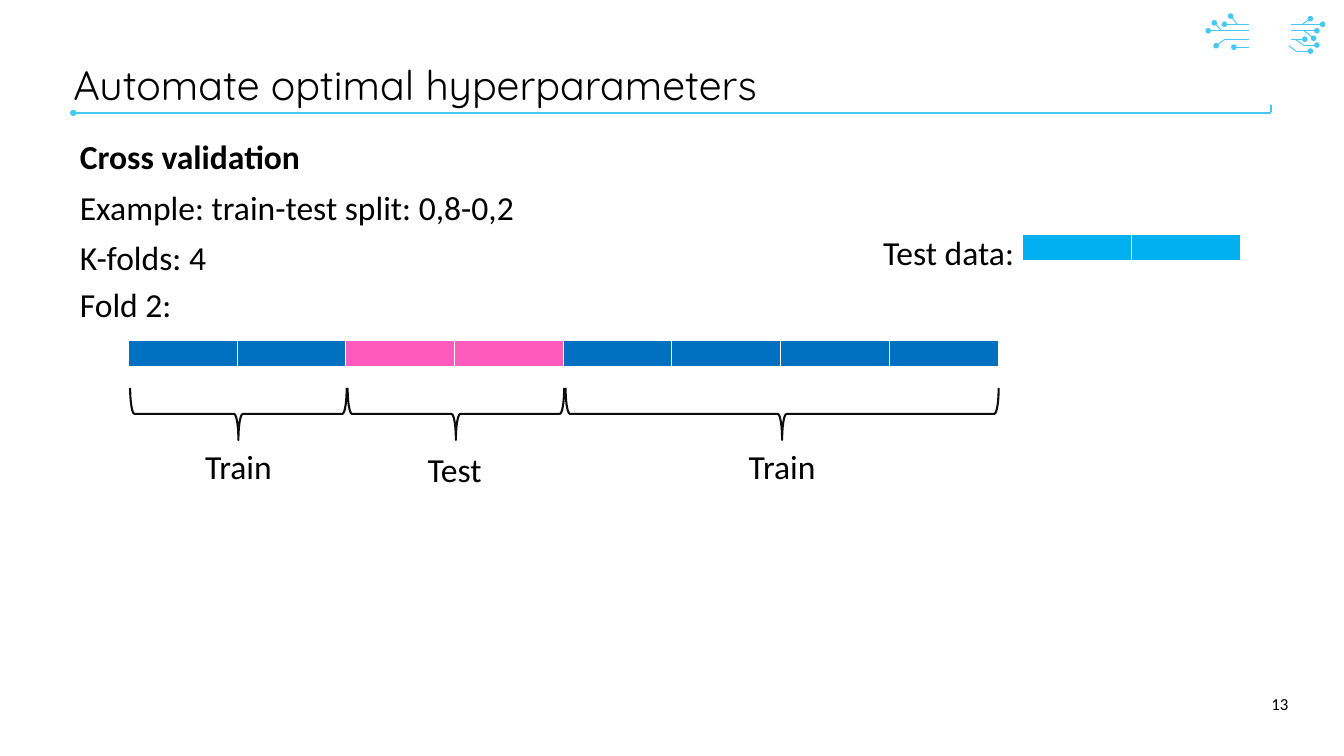
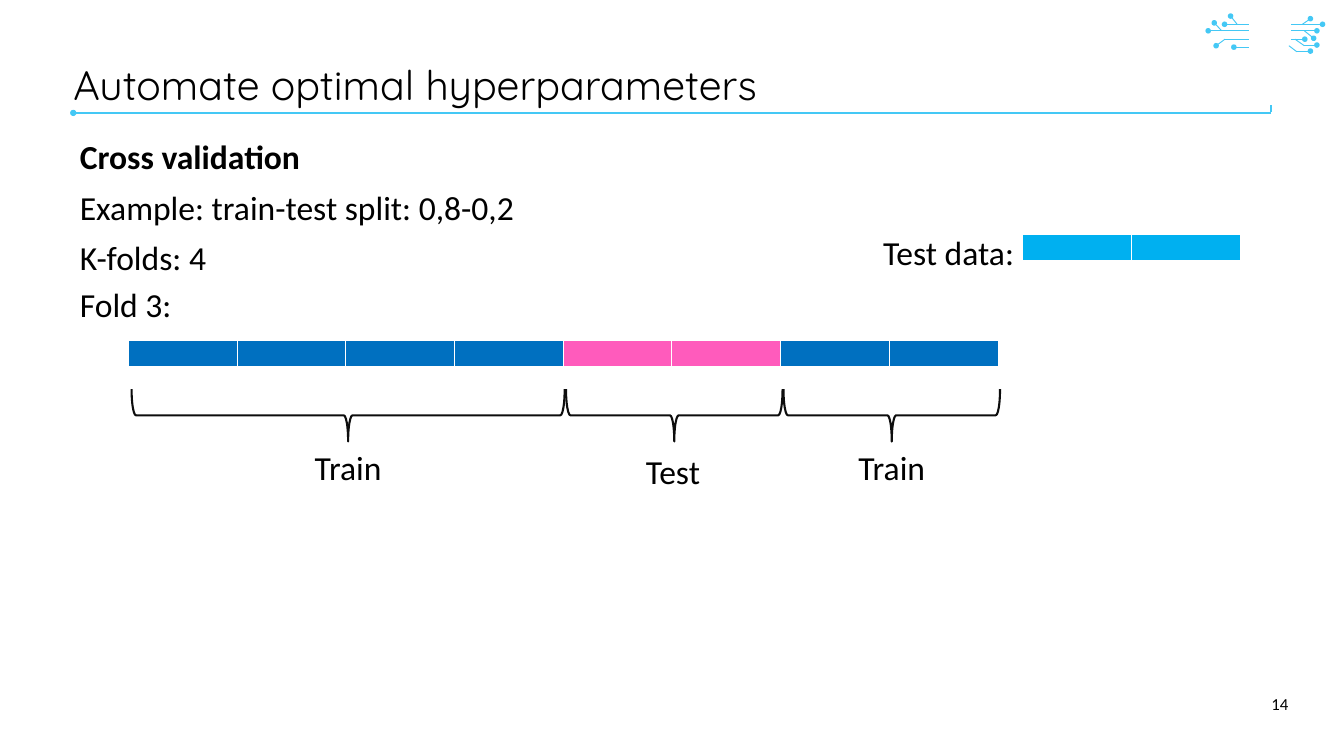
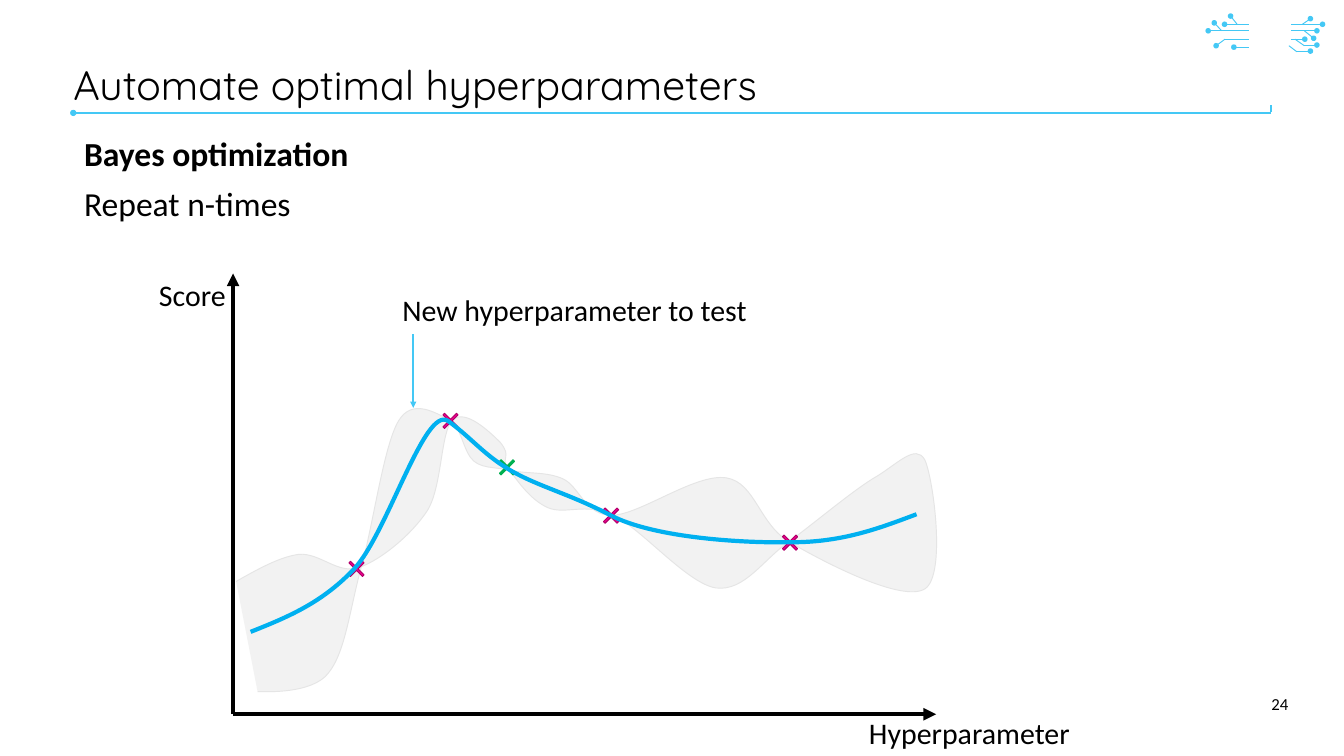
from dataclasses import dataclass
from typing import Any, Optional

import pptx
import pptx.dml.color
import pptx.enum.shapes
import pptx.enum.text
import pptx.oxml.ns
import pptx.util
from lxml import etree

Pt = pptx.util.Pt
qn = pptx.oxml.ns.qn
ALIGN = pptx.enum.text.PP_ALIGN
ANCHOR = pptx.enum.text.MSO_ANCHOR
AUTO = pptx.enum.text.MSO_AUTO_SIZE
SHAPE = pptx.enum.shapes.MSO_SHAPE
STRAIGHT = pptx.enum.shapes.MSO_CONNECTOR.STRAIGHT

COLORS = {
    "text": "000000", "circuit": "44C8F5", "border": "FFFFFF",
    "train": "0070C0", "fold": "FF5BBC", "test": "00B0F0", "brace": "0D0D0D",
    "mean": "00B0F0", "band": "E5E5E5",
    "tried": "EC008C", "tried_edge": "AF0068", "new": "00B050",
}
BODY_FONT, TITLE_FONT = "Calibri", "Quicksand"
TITLE = "Automate optimal hyperparameters"
CELL_W, CELL_H, BAR_H = 116.5, 29.5, 39.5
BAR_X, BAR_Y = 137.5, 364.25


@dataclass
class Line:
    x1: float
    y1: float
    x2: float
    y2: float
    color: str = "circuit"
    width: float = 1
    head: Optional[str] = None
    tail: Optional[str] = None


@dataclass
class Label:
    text: str
    x: float
    y: float
    w: float
    h: float = 51
    size: float = 36
    align: Any = ALIGN.LEFT
    wrap: bool = True


@dataclass
class Segment:
    kind: str
    first: int
    cells: int


@dataclass
class Fold:
    number: int
    page: int
    segments: list[Segment]
    shift: float
    drop: float


@dataclass
class Marker:
    x: float
    y: float
    fill: str = "tried"
    edge: str = "tried_edge"


@dataclass
class Curve:
    """A start point, rows of two control points and an end point, and straight ends."""
    start: tuple
    bends: list[tuple]
    color: str
    width: float
    corners: tuple = ()


CIRCUIT = [
    Line(1338, 26, 1312, 26, tail="oval"),
    Line(1338, 33, 1294.5, 33, tail="oval"),
    Line(1338, 42, 1312, 42),
    Line(1312.5, 42, 1303, 49, tail="oval"),
    Line(1338, 50.5, 1322, 50.5, tail="oval"),
    Line(1325.5, 26, 1318.5, 17.25, tail="oval"),
    Line(1309, 33, 1301, 24.5, tail="oval"),
    Line(1383, 33, 1411, 33, tail="oval"),
    Line(1397.5, 49, 1387.5, 42),
    Line(1397, 48.25, 1411, 48.25, tail="oval"),
    Line(1383, 42, 1398, 42, tail="oval"),
    Line(1397.5, 33, 1407.5, 41, tail="oval"),
    Line(1383, 26, 1417, 26, tail="oval"),
    Line(1389.5, 55.5, 1381, 49),
    Line(1389.5, 54.75, 1404, 54.75, tail="oval"),
    Line(1395.5, 26, 1404, 20, tail="oval"),
]
TITLE_RULE = [
    Line(78.5, 121, 1361.5, 121, width=2.25, head="oval"),
    Line(1361.5, 120.25, 1361.5, 113, width=2.25),
]
FOLDS = [
    Fold(2, 13, [Segment("Test", 2, 2), Segment("Train", 4, 4), Segment("Train", 0, 2)], 1.5, 0),
    Fold(3, 14, [Segment("Test", 4, 2), Segment("Train", 0, 4), Segment("Train", 6, 2)], 2.5, 1.5),
]
AXES = [
    Line(249.75, 765.25, 249.75, 293, "text", 4.5, tail="triangle"),
    Line(249.75, 765.25, 1003, 765.25, "text", 4.5, tail="triangle"),
]
NEW_ARROW = Line(442.75, 358, 442.75, 437, width=2.25, tail="triangle")
SCORE = Label("Score", 163.25, 293, 86.5, 46, 32, wrap=False)
HYPERPARAMETER = Label("Hyperparameter", 924, 762, 232, 46, 32, wrap=False)
NEW_LABEL = Label("New hyperparameter to test", 424, 309, 387, 46, 32, wrap=False)
MARKERS = [
    Marker(382, 609.5), Marker(482.75, 451), Marker(654.75, 552.5), Marker(846.5, 581.5),
    Marker(543.25, 500.75, "new", "new"),
]
BAND = Curve((253, 623), [
    ((276, 610), (299, 597), (320, 594)),
    ((343, 592), (362, 616), (385, 608)),
    ((408, 600), (441, 573), (458, 547)),
    ((474, 521), (472, 462), (485, 450)),
    ((498, 438), (523, 461), (536, 474)),
    ((549, 490), (536, 490), (544, 501)),
    ((553, 513), (567, 535), (587, 544)),
    ((606, 552), (627, 538), (657, 552)),
    ((688, 567), (736, 625), (767, 630)),
    ((798, 634), (818, 599), (846, 580)),
    ((873, 560), (911, 528), (935, 513)),
    ((960, 499), (981, 474), (991, 493)),
    ((1000, 513), (1014, 616), (991, 631)),
    ((967, 646), (884, 603), (848, 582)),
    ((813, 563), (810, 517), (778, 512)),
    ((745, 507), (685, 552), (656, 552)),
    ((627, 553), (621, 521), (603, 513)),
    ((585, 505), (564, 508), (547, 504)),
    ((531, 500), (513, 503), (504, 490)),
    ((495, 477), (493, 455), (480, 449)),
    ((467, 443), (442, 426), (427, 451)),
    ((411, 478), (400, 562), (387, 608)),
    ((375, 652), (370, 699), (352, 721)),
    ((335, 744), (282, 741), (282, 741)),
], "band", 1, ((282, 741), (276, 741)))
MEAN = Curve((268.5, 677), [
    ((306, 662), (344, 647), (379, 610)),
    ((415, 572), (455, 434), (480, 451)),
    ((505, 469), (518, 487), (547, 504)),
    ((576, 521), (610, 529), (654, 552)),
    ((700, 576), (793, 582), (848, 581)),
    ((903, 581), (942, 566), (982, 551)),
], "mean", 4.5)


def rgb(name: str) -> Any:
    return pptx.dml.color.RGBColor.from_string(COLORS[name])


def style_line(line: Any, color: str, width: float) -> None:
    line.color.rgb = rgb(color)
    line.width = Pt(width)


def style_text(p: Any, size: float, font: str = BODY_FONT, bold: bool = False) -> None:
    for r in p.runs:
        r.font.size, r.font.name, r.font.bold = Pt(size), font, bold
        r.font.color.rgb = rgb("text")


def add_line(shapes: Any, line: Line) -> Any:
    cxn = shapes.add_connector(STRAIGHT, Pt(line.x1), Pt(line.y1), Pt(line.x2), Pt(line.y2))
    style_line(cxn.line, line.color, line.width)
    ln = cxn.element.find(".//" + qn("a:ln"))
    for tag, end in (("a:headEnd", line.head), ("a:tailEnd", line.tail)):
        if end:
            etree.SubElement(ln, qn(tag), type=end)
    etree.SubElement(ln.getparent(), qn("a:effectLst"))
    return cxn


def add_label(shapes: Any, label: Label) -> Any:
    sp = shapes.add_textbox(Pt(label.x), Pt(label.y), Pt(label.w), Pt(label.h))
    tf = sp.text_frame
    tf.word_wrap, tf.auto_size = label.wrap, AUTO.SHAPE_TO_FIT_TEXT
    tf.text = label.text
    tf.paragraphs[0].alignment = label.align
    style_text(tf.paragraphs[0], label.size)
    return sp


def add_body(s: Any, x: float, y: float, lines: list[str]) -> None:
    """Write the body text, its first line as a bold heading."""
    tf = s.shapes.add_textbox(Pt(x), Pt(y), Pt(1305), Pt(481)).text_frame
    tf.word_wrap = True
    tf.text = "\n".join(lines)
    for i, p in enumerate(tf.paragraphs):
        p.line_spacing = 0.9
        if i:
            p.space_before = Pt(15)
        style_text(p, 36, bold=i == 0)


def decorate_layout(s: Any) -> None:
    """Draw the circuit and the title rule on the slide's layout, which keeps only its title."""
    layout = s.slide_layout
    for ph in list(layout.placeholders)[1:]:
        layout.shapes.element.remove(ph.element)
    group = s.shapes.add_group_shape()
    for line in CIRCUIT:
        add_line(group.shapes, line)
    for sp in [group] + [add_line(s.shapes, line) for line in TITLE_RULE]:
        layout.shapes.element.append(sp.element)
    for number, item in enumerate(layout.shapes.element.iter(qn("p:cNvPr")), 1):
        item.set("id", str(number))


def add_slide(prs: Any, page: int) -> Any:
    s = prs.slides.add_slide(prs.slide_layouts[5])
    title = s.shapes.title
    title.left, title.top, title.width, title.height = Pt(78.5), Pt(70), Pt(1180), Pt(49.5)
    tf = title.text_frame
    tf.margin_left = tf.margin_top = tf.margin_right = tf.margin_bottom = 0
    tf.vertical_anchor, tf.auto_size = ANCHOR.TOP, AUTO.NONE
    tf.text = TITLE
    p = tf.paragraphs[0]
    p.alignment, p.line_spacing = ALIGN.LEFT, 0.9
    style_text(p, 44, TITLE_FONT)
    number = add_label(s.shapes, Label(str(page), 1309, 733, 78.5, 43, 18, ALIGN.RIGHT))
    number.text_frame.auto_size = AUTO.NONE
    number.text_frame.vertical_anchor = ANCHOR.MIDDLE
    return s


def add_bar(s: Any, x: float, y: float, fills: list[str]) -> None:
    """Draw a row of data blocks as a one-row table."""
    frame = s.shapes.add_table(1, len(fills), Pt(x), Pt(y), Pt(CELL_W * len(fills)), Pt(BAR_H))
    table = frame.table
    table.first_row = table.horz_banding = False
    table.rows[0].height = Pt(CELL_H)
    frame.height = Pt(BAR_H)
    for i, fill in enumerate(fills):
        table.columns[i].width = Pt(CELL_W)
        cell = table.cell(0, i)
        tc_pr = cell._tc.get_or_add_tcPr()
        for side, width in (("L", 1), ("R", 1), ("T", 1), ("B", 3)):
            ln = etree.SubElement(tc_pr, qn("a:ln" + side), w=str(Pt(width)))
            solid = etree.SubElement(ln, qn("a:solidFill"))
            etree.SubElement(solid, qn("a:srgbClr"), val=COLORS["border"])
        cell.fill.solid()
        cell.fill.fore_color.rgb = rgb(fill)


def add_brace(s: Any, segment: Segment, fold: Fold) -> None:
    """Draw a brace under the segment's blocks, with its label below."""
    center = BAR_X + fold.shift + CELL_W * (segment.first + segment.cells / 2)
    depth, span = 56, 116 * segment.cells
    group = s.shapes.add_group_shape()
    sp = group.shapes.add_shape(SHAPE.LEFT_BRACE, Pt(center - depth / 2),
                                Pt(443.5 + fold.drop - span / 2), Pt(depth), Pt(span))
    sp.rotation = 270
    sp.shadow.inherit = False
    sp.fill.background()
    style_line(sp.line, "brace", 2.25)
    w, y, align = (75, 477.75, ALIGN.LEFT) if segment.kind == "Test" else (147, 474, ALIGN.CENTER)
    add_label(group.shapes, Label(segment.kind, center - w / 2, y + fold.drop, w, align=align))


def add_fold(s: Any, fold: Fold) -> None:
    add_body(s, 78.5, 147.25,
             ["Cross validation", "Example: train-test split: 0,8-0,2", "K-folds: 4"])
    fills = ["train"] * 8
    for segment in fold.segments:
        if segment.kind == "Test":
            fills[segment.first:segment.first + segment.cells] = ["fold"] * segment.cells
    add_bar(s, BAR_X, BAR_Y, fills)
    add_label(s.shapes, Label(f"Fold {fold.number}:", 78.5, 300.5, 260.5))
    add_bar(s, 1095.75, 250.75, ["test"] * 2)
    add_label(s.shapes, Label("Test data:", 939, 245, 157))
    for segment in fold.segments:
        add_brace(s, segment, fold)


def trace(curve: Curve, steps: int = 40) -> list[tuple]:
    """Return points along the curve, which give its extents."""
    points = [curve.start]
    for a, b, end in curve.bends:
        begin = points[-1]
        for k in range(1, steps + 1):
            t = k / steps
            u = 1 - t
            points.append(tuple(
                u**3 * begin[i] + 3 * u * u * t * a[i] + 3 * u * t * t * b[i] + t**3 * end[i]
                for i in (0, 1)))
    return points + list(curve.corners)


def add_curve(s: Any, curve: Curve) -> Any:
    """Draw a freeform sized by its traced points, with true cubic segments."""
    emu = [(Pt(x), Pt(y)) for x, y in trace(curve)]
    builder = s.shapes.build_freeform(*emu[0])
    builder.add_line_segments(emu[1:], close=False)
    sp = builder.convert_to_shape()
    outline = sp.element.find(".//" + qn("a:path"))
    for step in outline.findall(qn("a:lnTo")):
        outline.remove(step)
    steps = [("a:cubicBezTo", bend) for bend in curve.bends]
    steps += [("a:lnTo", (corner,)) for corner in curve.corners]
    for tag, points in steps:
        step = etree.SubElement(outline, qn(tag))
        for x, y in points:
            etree.SubElement(step, qn("a:pt"), x=str(Pt(x) - sp.left), y=str(Pt(y) - sp.top))
    sp.shadow.inherit = False
    sp.fill.background()
    style_line(sp.line, curve.color, curve.width)
    return sp


def add_marker(s: Any, marker: Marker) -> None:
    size = 28
    sp = s.shapes.add_shape(SHAPE.MATH_MULTIPLY, Pt(marker.x - size / 2),
                            Pt(marker.y - size / 2), Pt(size), Pt(size))
    sp.adjustments[0] = 0.09
    sp.shadow.inherit = False
    sp.fill.solid()
    sp.fill.fore_color.rgb = rgb(marker.fill)
    style_line(sp.line, marker.edge, 1)


def add_optimization(s: Any) -> None:
    add_body(s, 83, 143.5, ["Bayes optimization", "Repeat n-times"])
    for axis, label in zip(AXES, (SCORE, HYPERPARAMETER)):
        add_line(s.shapes, axis)
        add_label(s.shapes, label)
    band = add_curve(s, BAND)
    band.fill.solid()
    band.fill.fore_color.rgb = rgb("band")
    fill_color = band.element.find(".//" + qn("a:srgbClr"))
    etree.SubElement(fill_color, qn("a:alpha"), val="49000")
    for marker in MARKERS:
        add_marker(s, marker)
    add_curve(s, MEAN)
    add_line(s.shapes, NEW_ARROW)
    add_label(s.shapes, NEW_LABEL)


def main() -> None:
    prs = pptx.Presentation()
    prs.slide_width, prs.slide_height = Pt(1440), Pt(810)
    for fold in FOLDS:
        add_fold(add_slide(prs, fold.page), fold)
    s = add_slide(prs, 24)
    decorate_layout(s)
    add_optimization(s)
    prs.save("out.pptx")


if __name__ == "__main__":
    main()
